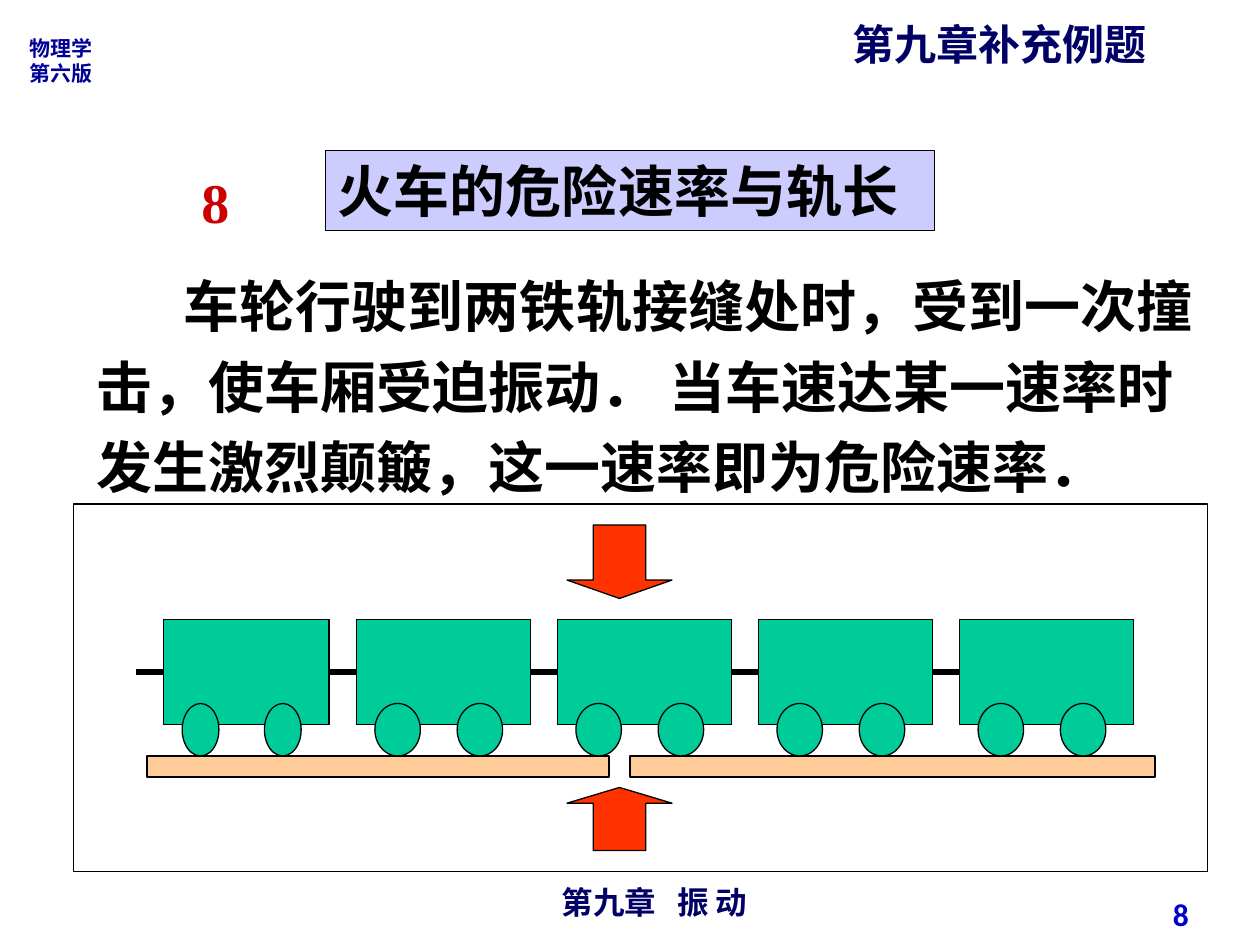
import dataclasses

import lxml.etree
import pptx
import pptx.dml.color
import pptx.enum.shapes
import pptx.enum.text
import pptx.oxml.ns
import pptx.util

Pt = pptx.util.Pt
SHAPE = pptx.enum.shapes.MSO_SHAPE
ALIGN = pptx.enum.text.PP_ALIGN
ANCHOR = pptx.enum.text.MSO_ANCHOR
AUTO_SIZE = pptx.enum.text.MSO_AUTO_SIZE


@dataclasses.dataclass(frozen=True)
class Theme:
    serif: str = "Times New Roman"
    chinese: str = "Noto Sans CJK SC"
    sans: str = "Calibri"
    black: str = "000000"
    navy: str = "000066"
    edition_blue: str = "000099"
    number_blue: str = "0000CC"
    red: str = "CC0000"
    arrow: str = "FF3300"
    car: str = "00CC99"
    rail: str = "FFCC99"
    title_fill: str = "CCCCFF"
    body_size: float = 32
    chapter_size: float = 24
    footer_size: float = 18
    edition_size: float = 12
    outline: float = 0.75
    coupling: float = 3


class SlideBuilder:
    def __init__(self, slide, theme):
        self.slide = slide
        self.theme = theme

    def color(self, value):
        return pptx.dml.color.RGBColor.from_string(value)

    def shape(self, kind, left, top, width, height, fill=None):
        shape = self.slide.shapes.add_shape(kind, Pt(left), Pt(top), Pt(width), Pt(height))
        shape.shadow.inherit = False
        if fill:
            shape.fill.solid()
            shape.fill.fore_color.rgb = self.color(fill)
        else:
            shape.fill.background()
        shape.line.color.rgb = self.color(self.theme.black)
        shape.line.width = Pt(self.theme.outline)
        return shape

    def arrow(self, kind, left, top, width, height):
        arrow = self.shape(kind, left, top, width, height, self.theme.arrow)
        arrow.adjustments[0] = 0.5
        arrow.adjustments[1] = 0.25

    def text_box(self, left, top, width, height, lines, size, color, **options):
        box = self.slide.shapes.add_textbox(Pt(left), Pt(top), Pt(width), Pt(height))
        self.fill_text(box, lines, size, color, **options)

    def fill_text(self, shape, lines, size, color, font=None, align=ALIGN.LEFT,
                  anchor=ANCHOR.TOP, grow=True, wrap=True, spacing=None, indent=0, gap=0):
        frame = shape.text_frame
        frame.word_wrap = wrap
        frame.vertical_anchor = anchor
        frame.auto_size = AUTO_SIZE.SHAPE_TO_FIT_TEXT if grow else AUTO_SIZE.NONE
        for index, pieces in enumerate(lines):
            paragraph = frame.add_paragraph() if index else frame.paragraphs[0]
            paragraph.alignment = align
            if spacing:
                paragraph.line_spacing = spacing
            if indent:
                paragraph._p.get_or_add_pPr().set("indent", str(Pt(indent)))
            for piece in pieces:
                run = paragraph.add_run()
                run.text = piece
                run.font.name = font or self.theme.serif
                run.font.size = Pt(size)
                run.font.bold = True
                run.font.color.rgb = self.color(color)
                properties = run._r.get_or_add_rPr()
                east_asian = lxml.etree.SubElement(properties, pptx.oxml.ns.qn("a:ea"))
                east_asian.set("typeface", self.theme.chinese)
                if gap and piece == " ":
                    properties.set("spc", str(gap * 100))

    def coupling(self, begin, end, previous_car, car):
        line = self.slide.shapes.add_connector(
            pptx.enum.shapes.MSO_CONNECTOR.STRAIGHT,
            Pt(begin[0]), Pt(begin[1]), Pt(end[0]), Pt(end[1]))
        if previous_car is not None:
            line.begin_connect(previous_car, 3)
        line.end_connect(car, 1)
        line.line.color.rgb = self.color(self.theme.black)
        line.line.width = Pt(self.theme.coupling)
        lxml.etree.SubElement(line._element.spPr, pptx.oxml.ns.qn("a:effectLst"))

    def train(self):
        top, height = 354, 60
        middle = top + height / 2
        previous_car, previous_right = None, 78
        for index in range(5):
            left = 88.8 + 114.9 * index if index else 93.6
            width, wheel = (99.4, 26) if index else (94.4, 21)
            car = self.shape(SHAPE.RECTANGLE, left, top, width, height, self.theme.car)
            for offset in (10.5, 57.5):
                self.shape(SHAPE.OVAL, left + offset, 402, wheel, 30, self.theme.car)
            self.coupling((previous_right, middle), (left, middle), previous_car, car)
            previous_car, previous_right = car, left + width


def main():
    presentation = pptx.Presentation()
    presentation.slide_width = Pt(720)
    presentation.slide_height = Pt(540)
    theme = Theme()
    builder = SlideBuilder(presentation.slides.add_slide(presentation.slide_layouts[6]), theme)

    builder.text_box(480, 7.2, 228, 36, [["第九章补充例题"]], theme.chapter_size, theme.navy)
    builder.text_box(240.5, 501, 267, 26.6, [["第九章", " ", "振 动"]], theme.footer_size,
                     theme.navy, font=theme.chinese, align=ALIGN.CENTER, grow=False, gap=8)
    builder.text_box(10, 16.5, 52, 36, [["物理学"], ["第六版"]], theme.edition_size,
                     theme.edition_blue, font=theme.chinese)
    builder.text_box(518.4, 507.6, 168, 28.8, [["8"]], theme.footer_size, theme.number_blue,
                     font=theme.sans, align=ALIGN.RIGHT, anchor=ANCHOR.MIDDLE, grow=False)

    title = builder.shape(SHAPE.RECTANGLE, 186, 85.8, 348, 46, theme.title_fill)
    builder.fill_text(title, [["火车的危险速率与轨长"]], theme.body_size, theme.black)
    builder.text_box(48, 144, 646.6, 145.4,
                     [["车轮行驶到两铁轨接缝处时，受到一次撞击，使车厢受迫振动． "
                       "当车速达某一速率时发生激烈颠簸，这一速率即为危险速率．"]],
                     theme.body_size, theme.black, spacing=1.2, indent=50)
    builder.text_box(108, 92.2, 38, 46, [["8"]], theme.body_size, theme.red, wrap=False)

    for left, width in ((84, 264), (360, 300)):
        builder.shape(SHAPE.RECTANGLE, left, 432, width, 12, theme.rail)
    builder.train()
    builder.arrow(SHAPE.DOWN_ARROW, 324, 300, 60, 42)
    builder.arrow(SHAPE.UP_ARROW, 324, 450, 60, 36)
    builder.shape(SHAPE.RECTANGLE, 42, 288, 648, 210)

    presentation.save("out.pptx")


if __name__ == "__main__":
    main()
